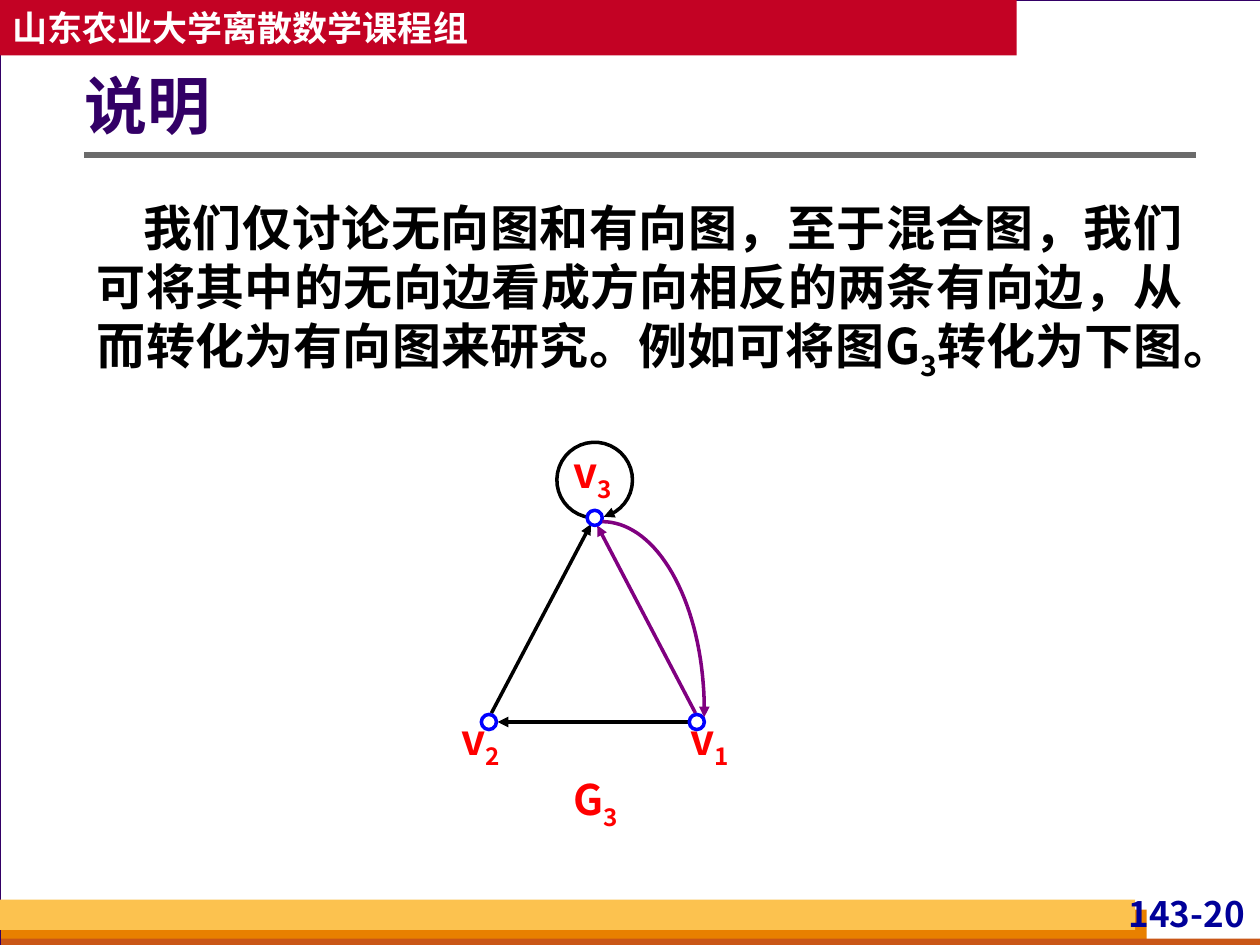
from math import cos, radians, sin

from lxml.etree import SubElement
from pptx import Presentation
from pptx.dml.color import RGBColor
from pptx.enum.shapes import MSO_CONNECTOR, MSO_SHAPE as SHAPE
from pptx.enum.text import MSO_ANCHOR, MSO_AUTO_SIZE, PP_ALIGN as ALIGN
from pptx.oxml.ns import qn
from pptx.util import Inches, Pt

FONT = "Noto Sans CJK SC"
BLACK = RGBColor(0x00, 0x00, 0x00)
WHITE = RGBColor(0xFF, 0xFF, 0xFF)
GRAY = RGBColor(0x6B, 0x6B, 0x6B)
BACKDROP = RGBColor(0xD8, 0xDA, 0xDA)
INDIGO = RGBColor(0x33, 0x00, 0x66)
NAVY = RGBColor(0x00, 0x00, 0x99)
BLUE = RGBColor(0x00, 0x00, 0xFF)
RED = RGBColor(0xFF, 0x00, 0x00)
PURPLE = RGBColor(0x80, 0x00, 0x80)
CRIMSON = RGBColor(0xC3, 0x02, 0x24)
ORANGE = RGBColor(0xE8, 0x80, 0x00)
RUST = RGBColor(0xC9, 0x56, 0x16)
AMBER = RGBColor(0xFC, 0xC2, 0x4F)


class GraphSlide:
    """Draws styled bars, text, vertices and directed edges on one slide."""

    def __init__(self, prs):
        self.s = prs.slides.add_slide(prs.slide_layouts[5])
        self.s.background.fill.solid()
        self.s.background.fill.fore_color.rgb = BACKDROP

    def shape(self, kind, box, fill, line=None, width=0.75):
        sp = self.s.shapes.add_shape(kind, *map(Inches, box))
        sp.shadow.inherit = False
        sp.fill.solid()
        sp.fill.fore_color.rgb = fill
        if line is None:
            sp.line.fill.background()
        else:
            sp.line.color.rgb = line
            sp.line.width = Pt(width)
        return sp

    def fill_text(self, sp, parts, size, color, align=ALIGN.LEFT):
        tf = sp.text_frame
        tf.word_wrap = True
        p = tf.paragraphs[0]
        p.alignment = align
        for i, text in enumerate(parts):
            r = p.add_run()
            r.text = text
            r.font.size, r.font.bold, r.font.name = Pt(size), True, FONT
            r.font.color.rgb = color
            rPr = r._r.get_or_add_rPr()
            SubElement(rPr, qn("a:ea")).set("typeface", FONT)
            if i % 2:
                rPr.set("baseline", "-25000")
        return tf

    def title(self, text, box):
        sp = self.s.shapes.title
        self.s.shapes._spTree.append(sp._element)
        sp.left, sp.top, sp.width, sp.height = map(Inches, box)
        tf = self.fill_text(sp, [text], 36, INDIGO)
        tf.vertical_anchor = MSO_ANCHOR.MIDDLE
        tf.margin_left = 0
        tf.paragraphs[0].line_spacing = 0.9

    def text(self, box, parts, size, color, align):
        sp = self.s.shapes.add_textbox(*map(Inches, box))
        return self.fill_text(sp, parts, size, color, align)

    def label(self, box, parts, size=24, color=RED, align=ALIGN.CENTER, side=0):
        tf = self.text(box, parts, size, color, align)
        tf.margin_left = tf.margin_right = Inches(side)
        tf.margin_top = tf.margin_bottom = 0
        tf.auto_size = MSO_AUTO_SIZE.SHAPE_TO_FIT_TEXT

    def stroke(self, sp, color, width, arrow):
        sp.line.color.rgb = color
        sp.line.width = Pt(width)
        if arrow:
            ln = sp.line._get_or_add_ln()
            SubElement(ln, qn("a:tailEnd")).set("type", "triangle")

    def line(self, start, end, color=BLACK, width=2, arrow=True):
        c = self.s.shapes.add_connector(
            MSO_CONNECTOR.STRAIGHT, *map(Inches, start + end))
        self.stroke(c, color, width, arrow)
        SubElement(c._element.spPr, qn("a:effectLst"))

    def arc(self, center, radii, first, last, color, steps=36):
        angles = [radians(first + (last - first) * i / steps)
                  for i in range(steps + 1)]
        points = [(Inches(center[0] + radii[0] * cos(a)),
                   Inches(center[1] + radii[1] * sin(a))) for a in angles]
        fb = self.s.shapes.build_freeform(*points[0])
        fb.add_line_segments(points[1:], close=False)
        sp = fb.convert_to_shape()
        sp.shadow.inherit = False
        sp.fill.background()
        self.stroke(sp, color, 2, True)

    def vertex(self, left, top):
        self.shape(SHAPE.OVAL, (left, top, 0.12, 0.12), WHITE, BLUE, 2)


def main():
    prs = Presentation()
    prs.slide_width, prs.slide_height = Inches(10), Inches(7.5)
    g = GraphSlide(prs)

    g.shape(SHAPE.RECTANGLE, (0, 0, 10.01, 7.5), WHITE, INDIGO)
    for box, fill in (((0.01, 7.22, 9.09, 0.28), ORANGE),
                      ((0.01, 7.45, 10, 0.08), RUST),
                      ((0, 7.14, 9.01, 0.24), AMBER)):
        g.shape(SHAPE.RECTANGLE, box, fill)
    g.label((8.7, 7.08, 1.22, 0.38), ["143-20"], 20, NAVY, ALIGN.RIGHT, 0.04)
    g.line((0.67, 1.23), (9.49, 1.23), GRAY, 3, arrow=False)
    header = g.shape(SHAPE.RECTANGLE, (0, 0, 8.07, 0.44), CRIMSON)
    g.fill_text(header, ["山东农业大学离散数学课程组"], 20, WHITE)

    g.title("说明", (0.67, 0.36, 8.82, 1.01))
    tf = g.text((0.67, 1.47, 8.82, 2.42), [
        "我们仅讨论无向图和有向图，至于混合图，我们可将其中的无向边看成方向相反的"
        "两条有向边，从而转化为有向图来研究。例如可将图G", "3", "转化为下图。"],
        28, BLACK, ALIGN.JUSTIFY)
    tf.margin_top = Inches(0.1)
    p = tf.paragraphs[0]
    p.line_spacing = 1.0
    p._p.get_or_add_pPr().set("indent", str(Inches(0.37)))

    g.arc((4.72, 3.81), (0.3, 0.3), 97, 436, BLACK)
    g.line((5.48, 5.73), (3.95, 5.73))
    g.line((5.52, 5.66), (4.74, 4.17), PURPLE)
    g.line((3.9, 5.66), (4.69, 4.16))
    for left, top, width, parts in ((4.47, 3.54, 0.47, "v3"),
                                    (4.43, 6.14, 0.59, "G3"),
                                    (3.58, 5.66, 0.47, "v2"),
                                    (5.4, 5.66, 0.47, "v1")):
        g.label((left, top, width, 0.46), parts)
    for left, top in ((4.66, 4.05), (3.82, 5.67), (5.47, 5.67)):
        g.vertex(left, top)
    g.arc((4.78, 5.64), (0.81, 1.5), -90, 2, PURPLE)

    prs.save("out.pptx")


if __name__ == "__main__":
    main()
